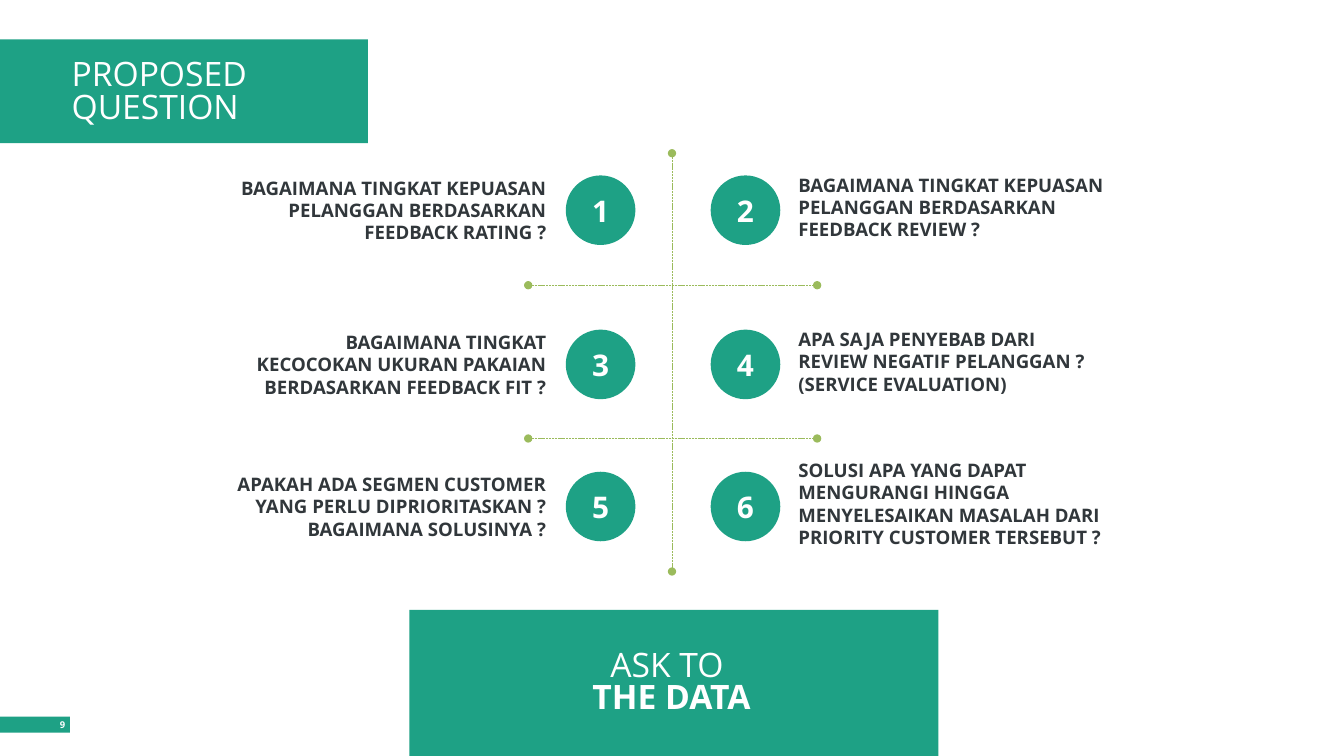
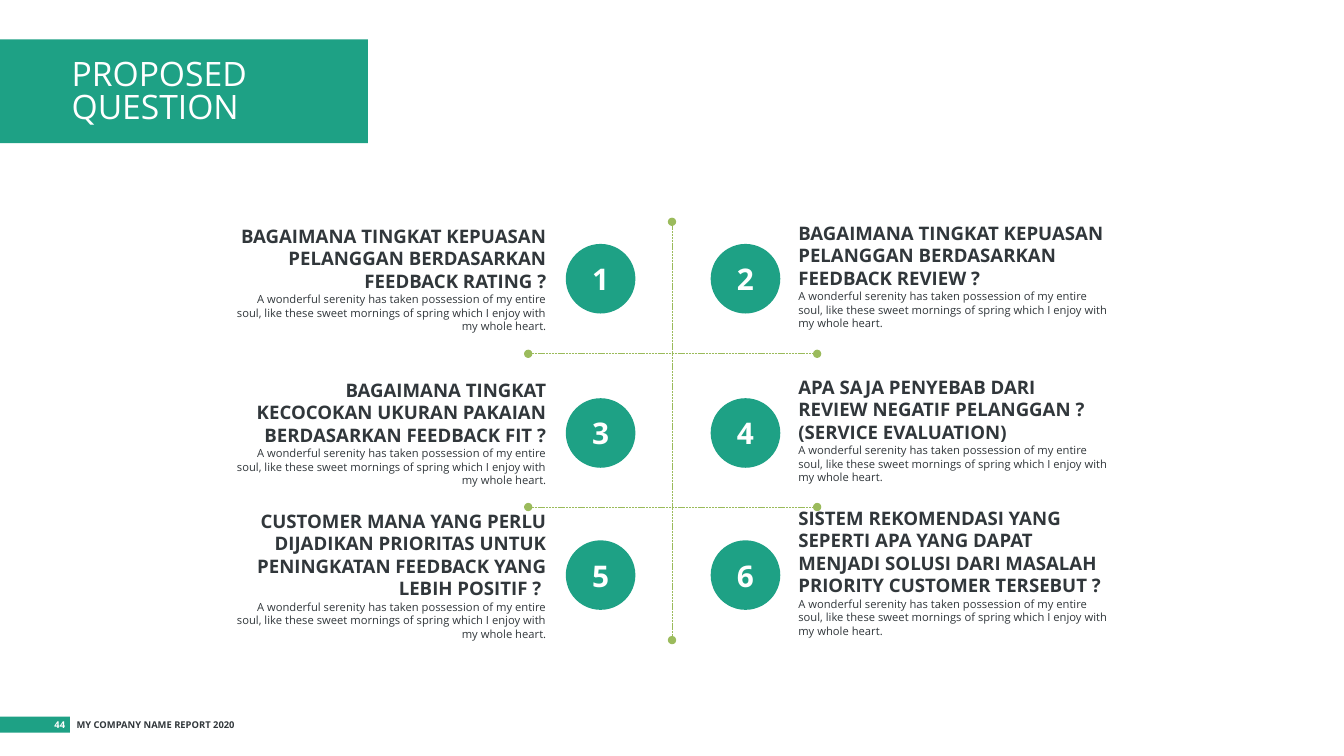
import lxml.etree
import pptx
import pptx.dml.color
import pptx.enum.dml
import pptx.enum.shapes
import pptx.enum.text
import pptx.oxml.ns
import pptx.util

ALIGN = pptx.enum.text.PP_ALIGN
SHAPE = pptx.enum.shapes.MSO_SHAPE

GREEN, LIME, INK, WHITE = "1EA185", "9BBB5C", "31373B", "FFFFFF"

HEADING = {"size": 24, "color": WHITE, "bold": False, "spacing": 0.8}
HEADING_BOLD = {**HEADING, "bold": True}
NUMBER = {"size": 21.3, "color": WHITE, "bold": True, "align": ALIGN.CENTER}
QUESTION = {"size": 13.3, "color": INK, "bold": True}
DETAIL = {"size": 8, "color": INK, "bold": False, "before": 0.5}
FOOTER = {"size": 6.7, "color": INK, "bold": True, "spacing": 0.7}
PAGE = {**FOOTER, "color": WHITE, "align": ALIGN.RIGHT}

ROW_CENTRES = (27.8, 48.2, 67)
DIVIDERS = (37.73, 58)
CIRCLE_LEFTS = (42.1, 52.88)
QUESTION_LEFTS = (17.48, 59.4)
QUESTION_ALIGNS = (ALIGN.RIGHT, ALIGN.LEFT)
QUESTION_RISES = (0, 0.4)
LOWERED = 9.07

SHARED_QUESTIONS = [
    "BAGAIMANA TINGKAT KEPUASAN PELANGGAN BERDASARKAN FEEDBACK RATING ?",
    "BAGAIMANA TINGKAT KEPUASAN PELANGGAN BERDASARKAN FEEDBACK REVIEW ?",
    "BAGAIMANA TINGKAT KECOCOKAN UKURAN PAKAIAN BERDASARKAN FEEDBACK FIT ?",
    "APA SAJA PENYEBAB DARI REVIEW NEGATIF PELANGGAN ? (SERVICE EVALUATION)",
]
SEGMENT_QUESTIONS = [
    "APAKAH ADA SEGMEN CUSTOMER YANG PERLU DIPRIORITASKAN ? BAGAIMANA SOLUSINYA ?",
    "SOLUSI APA YANG DAPAT MENGURANGI HINGGA MENYELESAIKAN MASALAH DARI PRIORITY CUSTOMER TERSEBUT ?",
]
PRIORITY_QUESTIONS = [
    "CUSTOMER MANA YANG PERLU DIJADIKAN PRIORITAS UNTUK PENINGKATAN FEEDBACK YANG LEBIH POSITIF ? ",
    "SISTEM REKOMENDASI YANG SEPERTI APA YANG DAPAT MENJADI SOLUSI DARI MASALAH PRIORITY CUSTOMER TERSEBUT ?",
]
SERENITY = (
    "A wonderful serenity has taken possession of my entire soul, "
    "like these sweet mornings of spring which I enjoy with my whole heart."
)


def rgb(value):
    return pptx.dml.color.RGBColor.from_string(value)


class Deck:
    font = "Open Sans"

    def __init__(self):
        self.deck = pptx.Presentation()
        self.deck.slide_width = pptx.util.Inches(13.33)
        self.deck.slide_height = pptx.util.Inches(7.5)
        self.slide = None

    def place(self, *shares):
        sides = (self.deck.slide_width, self.deck.slide_height) * 2
        return [round(side * share / 100) for side, share in zip(sides, shares)]

    def set_lines(self, shape, lines):
        frame = shape.text_frame
        frame_format = {
            "word_wrap": True,
            "vertical_anchor": pptx.enum.text.MSO_ANCHOR.MIDDLE,
            "margin_left": 0,
            "margin_right": 0,
            "margin_top": 0,
            "margin_bottom": 0,
        }
        for key, value in frame_format.items():
            setattr(frame, key, value)
        for index, (words, style) in enumerate(lines):
            paragraph = frame.add_paragraph() if index else frame.paragraphs[0]
            paragraph_format = {
                "alignment": style.get("align", ALIGN.LEFT),
                "line_spacing": style.get("spacing", 1.0),
                "space_before": pptx.util.Pt(style.get("before", 0)),
            }
            for key, value in paragraph_format.items():
                setattr(paragraph, key, value)
            run = paragraph.add_run()
            run.text = words
            run_format = {
                "name": self.font,
                "size": pptx.util.Pt(style["size"]),
                "bold": style["bold"],
            }
            for key, value in run_format.items():
                setattr(run.font, key, value)
            run.font.color.rgb = rgb(style["color"])

    def text(self, shares, *lines):
        self.set_lines(self.slide.shapes.add_textbox(*self.place(*shares)), lines)

    def block(self, shares, kind=SHAPE.RECTANGLE):
        block = self.slide.shapes.add_shape(kind, *self.place(*shares))
        block.shadow.inherit = False
        block.fill.solid()
        block.fill.fore_color.rgb = rgb(GREEN)
        block.line.fill.background()
        return block

    def circle(self, left, centre, number):
        circle = self.block((left, centre - 4.6, 5.18, 9.2), SHAPE.OVAL)
        self.set_lines(circle, [(number, NUMBER)])

    def divider(self, *ends):
        divider = self.slide.shapes.add_connector(
            pptx.enum.shapes.MSO_CONNECTOR.STRAIGHT, *self.place(*ends)
        )
        line = divider.line
        line.color.rgb = rgb(LIME)
        line.width = pptx.util.Pt(0.5)
        line.dash_style = pptx.enum.dml.MSO_LINE.SQUARE_DOT
        properties = divider._element.spPr
        qn = pptx.oxml.ns.qn
        for end in ("a:headEnd", "a:tailEnd"):
            lxml.etree.SubElement(properties.find(qn("a:ln")), qn(end), type="oval")
        lxml.etree.SubElement(properties, qn("a:effectLst"))

    def start(self, title, page, company=None):
        self.slide = self.deck.slides.add_slide(self.deck.slide_layouts[6])
        self.block((0, 5.2, 27.38, 13.73))
        self.block((0, 94.8, 5.2, 2.13))
        self.text((5.33, 4.27, 19.9, 16.13), (title, HEADING))
        self.text((0, 94.8, 4.85, 2.4), (page, PAGE))
        if company:
            self.text((5.7, 94.8, 13, 2.4), (company, FOOTER))

    def questions(self, questions, shift=0, detail=None):
        self.divider(50, 20.27 + shift, 50, 75.6 + shift)
        for height in DIVIDERS:
            self.divider(39.3, height + shift, 60.8, height + shift)
        for index, question in enumerate(questions):
            row, side = divmod(index, 2)
            centre = ROW_CENTRES[row] + shift
            self.circle(CIRCLE_LEFTS[side], centre, str(index + 1))
            align = {"align": QUESTION_ALIGNS[side]}
            lines = [(question, {**QUESTION, **align})]
            if detail:
                lines.append((detail, {**DETAIL, **align}))
            top = centre - QUESTION_RISES[side] - 9
            self.text((QUESTION_LEFTS[side], top, 23.18, 18), *lines)

    def banner(self, *lines):
        self.block((30.45, 80.67, 39.38, 19.33))
        centred = [(words, {**style, "align": ALIGN.CENTER}) for words, style in lines]
        self.text((34.28, 85.47, 31.35, 10), *centred)


def main():
    deck = Deck()
    deck.start("PROPOSED QUESTION", "9")
    deck.questions(SHARED_QUESTIONS + SEGMENT_QUESTIONS)
    deck.banner(("ASK TO ", HEADING), ("THE DATA", HEADING_BOLD))

    deck.start("PROPOSED QUESTION", "44", "MY COMPANY NAME REPORT 2020")
    deck.questions(SHARED_QUESTIONS + PRIORITY_QUESTIONS, LOWERED, SERENITY)
    deck.deck.save("out.pptx")


if __name__ == "__main__":
    main()
